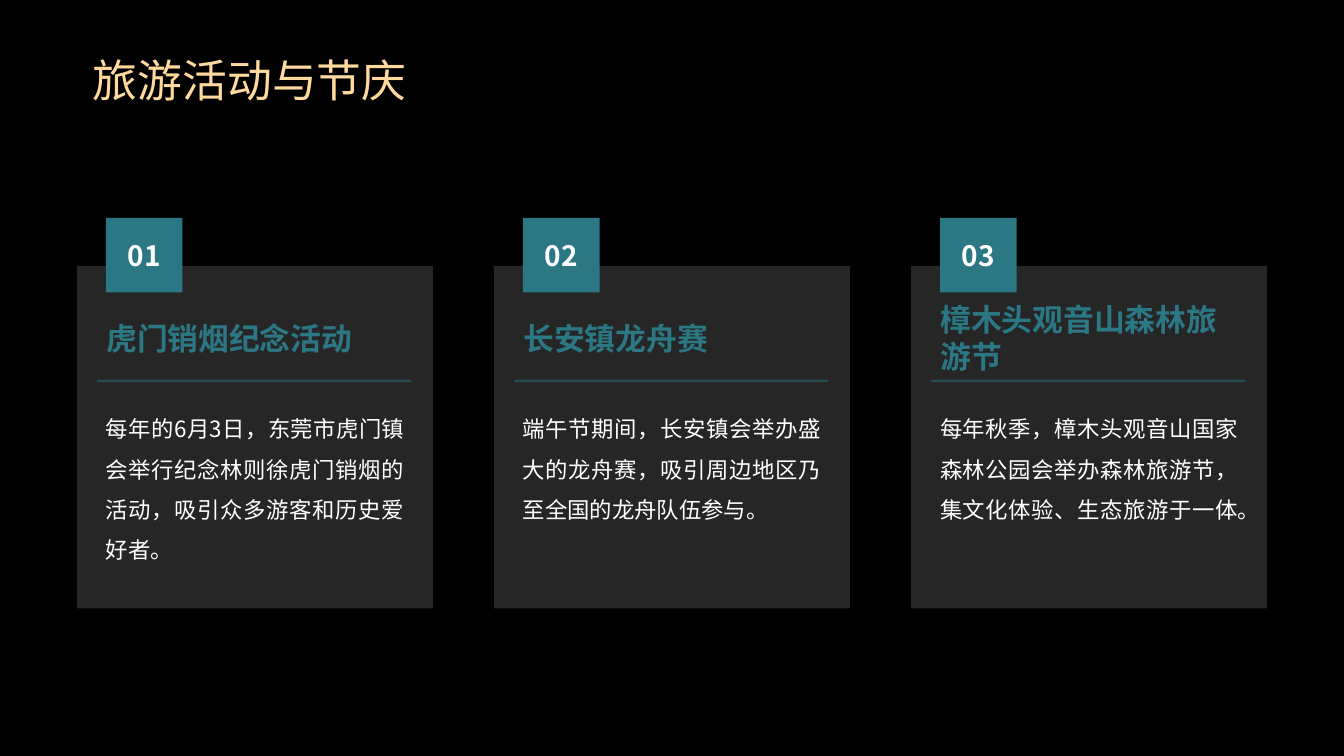
from dataclasses import dataclass

from lxml import etree
from pptx import Presentation
from pptx.dml.color import RGBColor
from pptx.enum.shapes import MSO_CONNECTOR, MSO_SHAPE
from pptx.enum.text import MSO_ANCHOR, PP_ALIGN
from pptx.oxml.ns import qn
from pptx.shapes.autoshape import Shape
from pptx.slide import Slide
from pptx.util import Cm, Pt

ROUNDED = MSO_SHAPE.ROUNDED_RECTANGLE
STRAIGHT = MSO_CONNECTOR.STRAIGHT
TOP, MIDDLE = MSO_ANCHOR.TOP, MSO_ANCHOR.MIDDLE
LEFT, CENTER, JUSTIFY = PP_ALIGN.LEFT, PP_ALIGN.CENTER, PP_ALIGN.JUSTIFY


@dataclass(frozen=True)
class Theme:
    font: str = "Noto Sans CJK SC"
    background: str = "000000"
    gold: str = "FFD99D"
    teal: str = "2B7784"
    white: str = "FFFFFF"
    card_opacity: int = 15
    rule_opacity: int = 50
    title_size: int = 32
    heading_size: int = 22
    number_size: int = 20
    body_size: int = 16
    rule_width: float = 1.75


@dataclass(frozen=True)
class Box:
    left: float
    top: float
    width: float
    height: float

    def shifted(self, distance: float) -> "Box":
        return Box(self.left + distance, self.top, self.width, self.height)

    def lengths(self) -> tuple[Cm, Cm, Cm, Cm]:
        return Cm(self.left), Cm(self.top), Cm(self.width), Cm(self.height)


@dataclass(frozen=True)
class TextStyle:
    size: int
    color: str
    bold: bool = False
    align: PP_ALIGN = LEFT
    anchor: MSO_ANCHOR = MIDDLE
    spacing: float = 1.0
    wrap: bool = True


@dataclass(frozen=True)
class Event:
    number: str
    name: str
    description: str


THEME = Theme()
TITLE_STYLE = TextStyle(THEME.title_size, THEME.gold)
NUMBER_STYLE = TextStyle(THEME.number_size, THEME.white, True, CENTER, wrap=False)
HEADING_STYLE = TextStyle(THEME.heading_size, THEME.teal, True)
BODY_STYLE = TextStyle(THEME.body_size, THEME.white, align=JUSTIFY, anchor=TOP, spacing=1.5)

TITLE_BOX = Box(2.34, 0.81, 29.21, 2.39)
CARD_BOX = Box(1.94, 6.7, 8.97, 8.63)
NUMBER_BOX = Box(2.67, 5.49, 1.93, 1.88)
HEADING_BOX = Box(2.68, 7.9, 7.52, 1.24)
BODY_BOX = Box(2.67, 10.13, 7.52, 4.47)
RULE_BOX = Box(2.45, 9.6, 7.91, 0)
CARD_PITCH = 10.51

EVENTS = (
    Event("01", "虎门销烟纪念活动",
          "每年的6月3日，东莞市虎门镇会举行纪念林则徐虎门销烟的活动，吸引众多游客和历史爱好者。"),
    Event("02", "长安镇龙舟赛",
          "端午节期间，长安镇会举办盛大的龙舟赛，吸引周边地区乃至全国的龙舟队伍参与。"),
    Event("03", "樟木头观音山森林旅游节",
          "每年秋季，樟木头观音山国家森林公园会举办森林旅游节，集文化体验、生态旅游于一体。"),
)


def set_opacity(fill: etree._Element, percent: int) -> None:
    color = fill.find(".//" + qn("a:srgbClr"))
    etree.SubElement(color, qn("a:alpha"), val=str(percent * 1000))


def write_text(holder: Shape, text: str, style: TextStyle) -> None:
    frame = holder.text_frame
    frame.text = text
    frame.word_wrap = style.wrap
    frame.vertical_anchor = style.anchor
    frame.margin_left = frame.margin_right = 0
    frame.margin_top = frame.margin_bottom = 0
    paragraph = frame.paragraphs[0]
    paragraph.alignment = style.align
    paragraph.line_spacing = style.spacing
    for run in paragraph.runs:
        run.font.name = THEME.font
        run.font.size = Pt(style.size)
        run.font.bold = style.bold
        run.font.color.rgb = RGBColor.from_string(style.color)
        etree.SubElement(run.font._element, qn("a:ea"), typeface=THEME.font)


def add_text(slide: Slide, box: Box, text: str, style: TextStyle) -> None:
    write_text(slide.shapes.add_textbox(*box.lengths()), text, style)


def add_panel(slide: Slide, box: Box, color: str) -> Shape:
    panel = slide.shapes.add_shape(ROUNDED, *box.lengths())
    panel.adjustments[0] = 0
    panel.shadow.inherit = False
    panel.fill.solid()
    panel.fill.fore_color.rgb = RGBColor.from_string(color)
    panel.line.fill.background()
    return panel


def add_rule(slide: Slide, box: Box) -> None:
    left, top, width, height = box.lengths()
    rule = slide.shapes.add_connector(STRAIGHT, left, top, left + width, top + height)
    rule.line.width = Pt(THEME.rule_width)
    rule.line.color.rgb = RGBColor.from_string(THEME.teal)
    properties = rule._element.spPr
    set_opacity(properties.find(qn("a:ln")), THEME.rule_opacity)
    etree.SubElement(properties, qn("a:effectLst"))


def add_event(slide: Slide, event: Event, shift: float) -> None:
    card = add_panel(slide, CARD_BOX.shifted(shift), THEME.white)
    set_opacity(card._element.spPr.find(qn("a:solidFill")), THEME.card_opacity)
    add_text(slide, BODY_BOX.shifted(shift), event.description, BODY_STYLE)
    badge = add_panel(slide, NUMBER_BOX.shifted(shift), THEME.teal)
    write_text(badge, event.number, NUMBER_STYLE)
    add_rule(slide, RULE_BOX.shifted(shift))
    add_text(slide, HEADING_BOX.shifted(shift), event.name, HEADING_STYLE)


def main() -> None:
    deck = Presentation()
    deck.slide_width, deck.slide_height = Cm(33.87), Cm(19.05)
    slide = deck.slides.add_slide(deck.slide_layouts[6])
    slide.background.fill.solid()
    slide.background.fill.fore_color.rgb = RGBColor.from_string(THEME.background)
    add_text(slide, TITLE_BOX, "旅游活动与节庆", TITLE_STYLE)
    for index, event in enumerate(EVENTS):
        add_event(slide, event, index * CARD_PITCH)
    deck.save("out.pptx")


if __name__ == "__main__":
    main()
